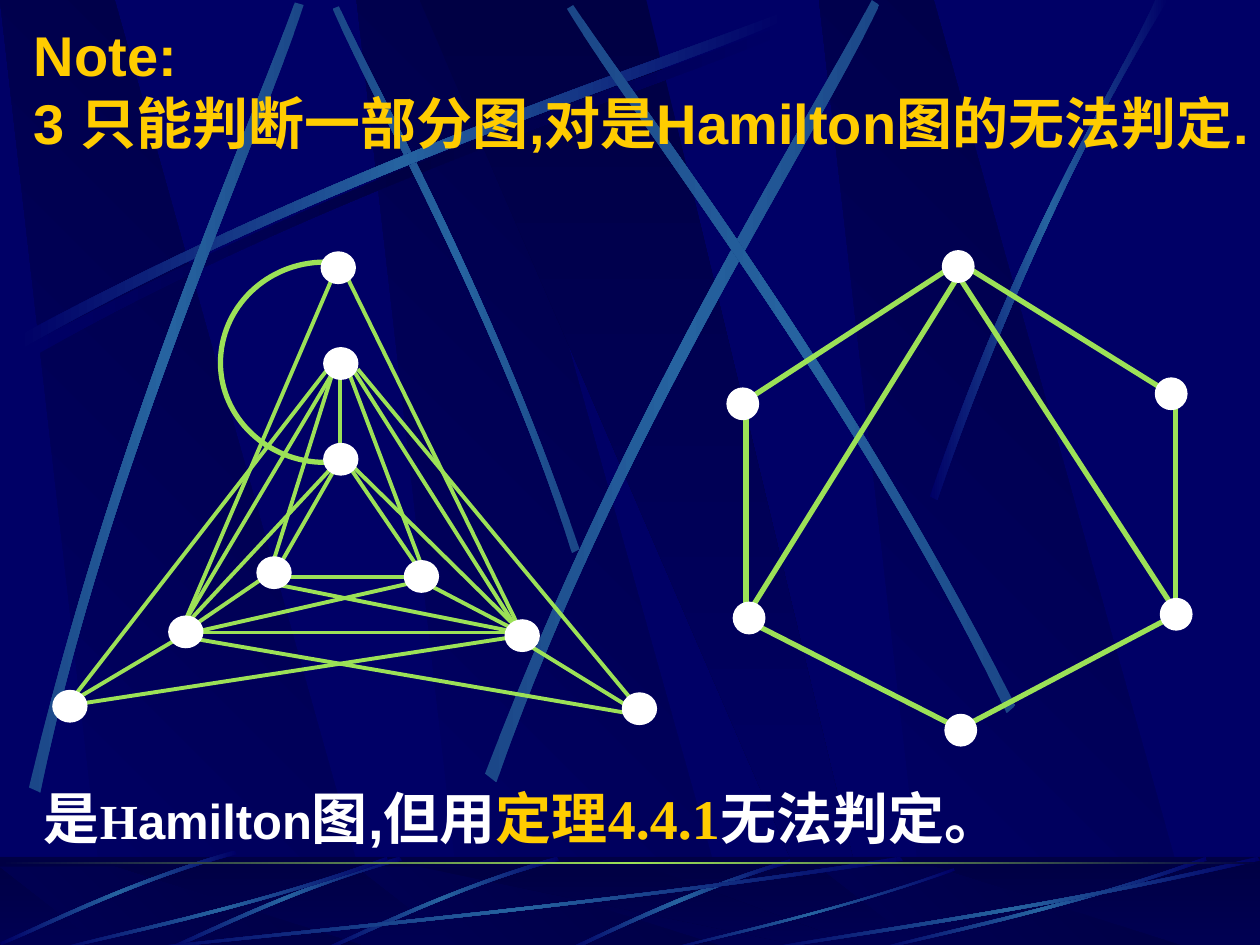
from pptx import Presentation
from pptx.dml.color import RGBColor
from pptx.enum.shapes import MSO_CONNECTOR, MSO_SHAPE
from pptx.enum.text import MSO_ANCHOR
from pptx.oxml import parse_xml
from pptx.oxml.ns import nsdecls, qn
from pptx.util import Cm, Pt

LINE = MSO_CONNECTOR.STRAIGHT
RECT, OVAL = MSO_SHAPE.RECTANGLE, MSO_SHAPE.OVAL
TOP, MID = MSO_ANCHOR.TOP, MSO_ANCHOR.MIDDLE
NAVY, DARK, BLUE = "000066", "000044", "2663A0"
GREEN, GOLD, WHITE = "9CE157", "FFCC00", "FFFFFF"
SANS, SERIF, HAN = "Arial", "Times New Roman", "Noto Sans CJK SC"
FADE, SOFT, DEEP = (NAVY, BLUE, NAVY), ("1B4788", BLUE, "1B4788"), (NAVY, DARK, NAVY)

BANDS = [2.83, 0, 6.5]
STREAKS = [
    (DEEP, [(0.2, 2.75), (2.84, 1.34), (5.24, 0.59), (6.26, 0.18),
            (6.29, 0.24), (5.28, 0.69), (2.54, 1.51), (0.23, 2.85)]),
    (SOFT, [(4.6, 4.36), (3.91, 2.34), (3.02, 0.77), (2.69, 0.05),
            (2.64, 0.07), (2.95, 0.79), (3.98, 2.58), (4.54, 4.39)]),
    (FADE, [(0.14, 2.67), (2.78, 1.25), (5.18, 0.51), (6.2, 0.1),
            (6.23, 0.16), (5.22, 0.61), (2.48, 1.43), (0.17, 2.77)]),
    (SOFT, [(0.23, 6.25), (0.93, 3.34), (1.97, 1.05), (2.34, 0.02),
            (2.41, 0.04), (2.07, 1.09), (0.86, 3.68), (0.32, 6.29)]),
    (SOFT, [(3.85, 6.14), (4.98, 3.2), (6.38, 1.02), (6.92, 0),
            (6.98, 0.04), (6.49, 1.08), (4.86, 3.55), (3.94, 6.21)]),
    (SOFT, [(8.06, 5.6), (6.7, 2.93), (5.16, 0.95), (4.55, 0.04),
            (4.5, 0.07), (5.07, 1.01), (6.85, 3.25), (7.99, 5.66)]),
    (FADE, [(7.38, 3.94), (8.14, 1.73), (8.88, 0.66), (9.17, 0),
            (9.27, 0), (8.36, 1.45), (7.69, 3.22), (7.44, 3.97)]),
]
ROOTS = [
    ([(0, 0)], [(6.27, 6.82), (5.37, 7.09), (4.77, 7.42), (4.48, 7.54),
                (4.53, 7.55), (4.9, 7.37), (5.71, 7), (6.28, 6.85)]),
    ([(0, 0), (-1.25, 0), (-2.56, -0.05)],
     [(4.42, 6.8), (3.55, 7.05), (2.87, 7.4), (2.56, 7.53),
      (2.57, 7.55), (2.88, 7.43), (3.65, 7.03), (4.44, 6.83)]),
    ([(0, 0)], [(7.17, 6.83), (4.49, 7.23), (2.06, 7.44), (1.03, 7.55),
                (1, 7.54), (2.02, 7.41), (4.8, 7.18), (7.14, 6.8)]),
    ([(0, 0)], [(3.08, 6.83), (1.93, 7.23), (0.88, 7.44), (0.43, 7.55),
                (0.42, 7.54), (0.86, 7.41), (2.06, 7.18), (3.07, 6.8)]),
    ([(0, 0)], [(7.58, 6.91), (6.58, 7.26), (5.67, 7.45), (5.28, 7.55),
                (5.27, 7.54), (5.65, 7.43), (6.69, 7.22), (7.57, 6.89)]),
    ([(0, 0)], [(9.58, 6.83), (8.43, 7.23), (7.38, 7.44), (6.93, 7.55),
                (6.92, 7.54), (7.36, 7.41), (8.56, 7.18), (9.57, 6.8)]),
    ([(0, 0)], [(10, 6.83), (8.27, 7.23), (6.69, 7.44), (6.02, 7.55),
                (6, 7.54), (6.66, 7.41), (8.46, 7.18), (9.98, 6.8)]),
]
NEST = [
    (2.25, 4.58, 3.25, 4.58), (2.7, 2.96, 2.7, 3.58), (1.53, 5.02, 4.17, 5.02),
    (2.67, 3.7, 2.2, 4.52), (2.77, 3.7, 3.37, 4.58), (2.64, 2.96, 2.14, 4.55),
    (2.64, 2.2, 1.43, 5.02), (2.74, 2.17, 4.11, 4.96), (2.77, 2.96, 3.37, 4.55),
    (2.8, 2.93, 4.14, 5.05), (2.64, 2.96, 1.47, 4.93), (2.84, 2.93, 5.01, 5.55),
    (2.6, 2.93, 0.57, 5.55), (4.13, 5.08, 5.04, 5.64), (1.43, 5.05, 5.04, 5.67),
    (3.4, 4.64, 4.07, 4.99), (2.1, 4.58, 1.5, 4.99), (1.39, 5.08, 0.6, 5.55),
    (2.2, 4.64, 4.11, 5.02), (0.67, 5.58, 4.11, 5.05), (2.8, 3.7, 4.11, 4.99),
    (1.53, 5.02, 3.34, 4.61), (1.5, 4.93, 2.7, 3.64),
]
NEST_DOTS = [(0.42, 5.48), (1.34, 4.89), (2.04, 4.42), (2.55, 2), (2.57, 2.76),
             (2.57, 3.52), (3.21, 4.45), (4.01, 4.92), (4.94, 5.5)]
HEX = [
    (5.92, 3.17, 5.92, 4.92), (7.55, 2.12, 5.95, 3.16), (9.31, 4.89, 7.68, 5.75),
    (7.61, 2.08, 9.28, 3.12), (5.92, 4.92, 7.55, 5.75), (7.58, 2.15, 9.31, 4.82),
    (7.65, 2.12, 5.95, 4.85), (9.33, 3.08, 9.33, 4.83),
]
HEX_DOTS = [(7.5, 5.67), (9.21, 4.75), (9.17, 3), (7.48, 1.99), (5.77, 3.08), (5.82, 4.78)]
ARC = [(2.58, 2.08), (2.12, 2.08), (1.75, 2.44), (1.75, 2.88),
       (1.75, 3.31), (2.12, 3.67), (2.58, 3.67)]
TITLE = [("Note:\v3 只能判断一部分图,对是Hamilton图的无法判定.", 32, SANS, GOLD)]
BODY = [("是", 32, SANS, WHITE), ("H", 28, SERIF, WHITE), ("amilton", 28, SANS, WHITE),
        ("图,但用", 32, SANS, WHITE), ("定理", 32, HAN, GOLD),
        ("4.4.1", 32, SERIF, GOLD), ("无法判定。", 32, SANS, WHITE)]


def inch(*vals):
    return [Cm(val * 2.54) for val in vals]


def tint(code):
    return RGBColor.from_string(code)


class Board:
    """Holds the style and the current slide, and draws each kind of element."""

    def __init__(self, deck):
        self.slide = deck.slides.add_slide(deck.slide_layouts[6])
        self.shapes = self.slide.shapes
        self.slide.background.fill.solid()
        self.slide.background.fill.fore_color.rgb = tint(NAVY)

    def blend(self, shape, codes, angle):
        shape.shadow.inherit = False
        shape.line.fill.background()
        shape.fill.gradient()
        shape.fill.gradient_angle = angle
        stops = "".join(f'<a:gs pos="{100000 * i // (len(codes) - 1)}"><a:srgbClr val="{code}"/></a:gs>'
                        for i, code in enumerate(codes))
        grad = shape._element.spPr.find(qn("a:gradFill"))
        grad.replace(grad.find(qn("a:gsLst")),
                     parse_xml(f'<a:gsLst {nsdecls("a")}>{stops}</a:gsLst>'))

    def form(self, points, bends=(), close=True):
        spots = [inch(*point) for point in points]
        pen = self.shapes.build_freeform(*spots[0])
        pen.add_line_segments(spots[1:], close=close)
        shape = pen.convert_to_shape()
        legs = list(shape._element.spPr.iter(qn("a:lnTo")))
        for bend in bends:
            cubic = parse_xml(f'<a:cubicBezTo {nsdecls("a")}/>')
            legs[bend].addprevious(cubic)
            for leg in legs[bend:bend + 3]:
                cubic.append(leg[0])
                leg.getparent().remove(leg)
        return shape

    def band(self, points, codes, angle):
        self.blend(self.form(points), codes, angle)

    def streak(self, points, codes, dx=0, dy=0):
        moved = [(x + dx, y + dy) for x, y in points]
        self.blend(self.form(moved, bends=(0, 4)), codes, 0)

    def bar(self, top, height, codes, angle):
        self.blend(self.shapes.add_shape(RECT, *inch(0, top, 10, height)), codes, angle)

    def veil(self, top, height):
        shape = self.shapes.add_shape(RECT, *inch(0, top, 10, height))
        shape.shadow.inherit = False
        shape.line.fill.background()
        shape.fill.solid()
        shape.fill.fore_color.rgb = tint(DARK)
        code = shape._element.spPr.find(qn("a:solidFill"))[0]
        code.append(parse_xml(f'<a:alpha {nsdecls("a")} val="50000"/>'))

    def edge(self, ends, width):
        line = self.shapes.add_connector(LINE, *inch(*ends))
        line.line.color.rgb = tint(GREEN)
        line.line.width = Pt(width)
        line._element.spPr.append(parse_xml(f'<a:effectLst {nsdecls("a")}/>'))

    def arc(self, points, width):
        shape = self.form(points, bends=(0, 3), close=False)
        shape.shadow.inherit = False
        shape.fill.background()
        shape.line.color.rgb = tint(GREEN)
        shape.line.width = Pt(width)

    def dot(self, x, y, width):
        shape = self.shapes.add_shape(OVAL, *inch(x, y, width, 0.25))
        shape.shadow.inherit = False
        shape.fill.solid()
        shape.fill.fore_color.rgb = shape.line.color.rgb = tint(WHITE)
        shape.line.width = Pt(0.75)

    def text(self, box, runs, anchor, hang=0):
        frame = self.shapes.add_textbox(*inch(*box)).text_frame
        frame.word_wrap = True
        frame.vertical_anchor = anchor
        para = frame.paragraphs[0]
        if hang:
            props = para._p.get_or_add_pPr()
            props.set("marL", str(inch(hang)[0]))
            props.set("indent", str(-inch(hang)[0]))
        para.font.bold = True
        if len(runs) == 1:
            para.text = runs[0][0]
            self.style(para.font, *runs[0][1:])
            return
        for words, *look in runs:
            run = para.add_run()
            run.text = words
            self.style(run.font, *look)

    def style(self, font, size, name, code):
        font.size, font.name = Pt(size), name
        font.color.rgb = tint(code)


def main():
    deck = Presentation()
    deck.slide_width, deck.slide_height = inch(10, 7.5)
    board = Board(deck)
    for top, low in [(0, 7.52), (6.88, 7.55)]:
        if top:
            board.bar(6.8, 0.75, (DARK, NAVY), 270)
        for x in BANDS:
            board.band([(x + 0.86, low), (x + 3.02, low), (x + 0.91, top), (x, top)], (NAVY, DARK), 45)
        board.band([(3.33, top), (6.58, low), (6.94, low), (5.13, top)], (DARK, NAVY), 270)
        if not top:
            for codes, points in STREAKS:
                board.streak(points, codes)
    board.veil(6.8, 0.75)
    for shifts, points in ROOTS:
        for dx, dy in shifts:
            board.streak(points, FADE, dx, dy)
    board.bar(6.84, 0.02, (DARK, GREEN, DARK), 0)

    board.text((0.17, -0.15, 9.83, 1.7), TITLE, MID)
    for edges, width in [(NEST, 2.25), (HEX, 3)]:
        for ends in edges:
            board.edge(ends, width)
    board.arc(ARC, 3)
    for dots, width in [(NEST_DOTS, 0.27), (HEX_DOTS, 0.25)]:
        for x, y in dots:
            board.dot(x, y, width)
    board.text((0.25, 6.17, 9.75, 1.08), BODY, TOP, hang=0.38)
    deck.save("out.pptx")


if __name__ == "__main__":
    main()
